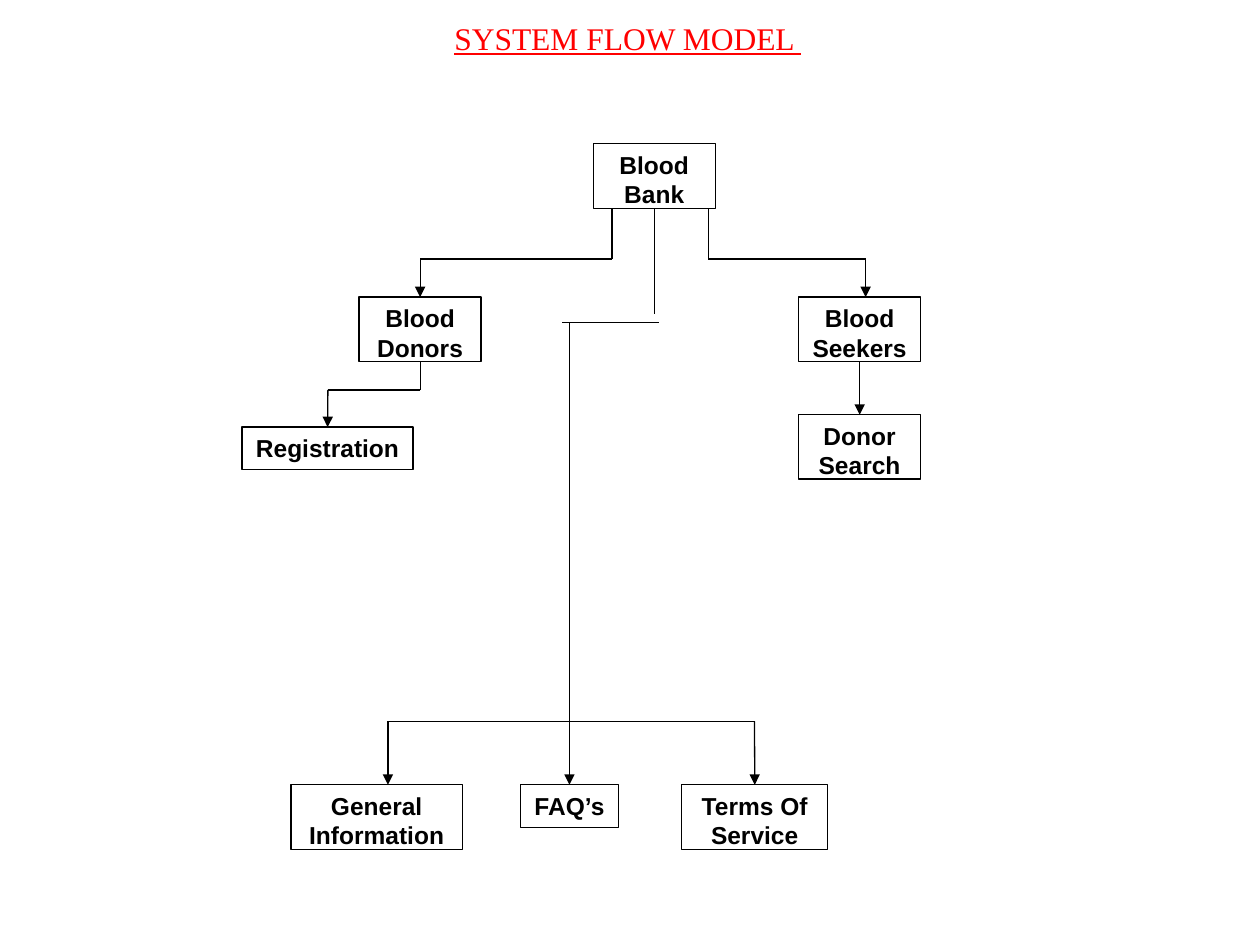
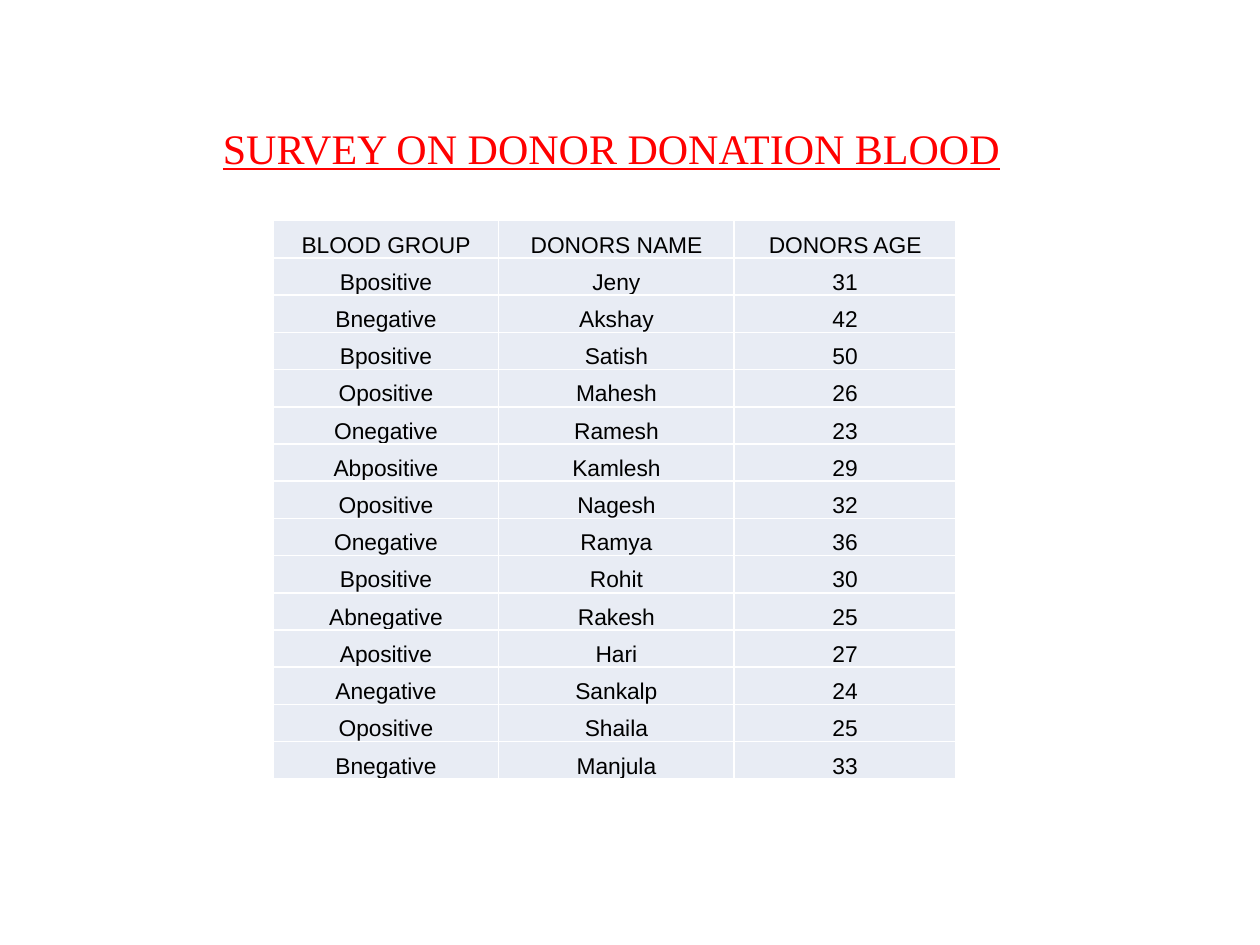
from pptx import Presentation
from pptx.dml.color import RGBColor
from pptx.enum.shapes import MSO_CONNECTOR, MSO_SHAPE
from pptx.enum.text import MSO_ANCHOR, MSO_AUTO_SIZE, PP_ALIGN
from pptx.oxml.ns import qn
from pptx.util import Cm, Pt
from lxml.etree import SubElement

COLORS = {"title": "FF0000", "ink": "000000", "paper": "FFFFFF", "cell": "E8ECF4"}
TITLE_FONT, BODY_FONT = "Times New Roman", "Arial"
TOP, BOTTOM = 0, 2


def rgb(name):
    return RGBColor.from_string(COLORS[name])


class Deck:
    def __init__(self):
        self.prs = Presentation()
        self.prs.slide_width, self.prs.slide_height = Cm(25.4), Cm(19.05)
        self.s = None

    def style(self, p, font, size, color, align=PP_ALIGN.CENTER, bold=False, underline=False):
        p.alignment = align
        p.font.name, p.font.size = font, Pt(size)
        p.font.bold, p.font.underline = bold, underline
        p.font.color.rgb = rgb(color)

    def slide(self, title, box, size, align, anchor):
        self.s = self.prs.slides.add_slide(self.prs.slide_layouts[5])
        sp = self.s.shapes.title
        sp.left, sp.top, sp.width, sp.height = map(Cm, box)
        tf = sp.text_frame
        tf.text, tf.vertical_anchor = title, anchor
        tf.word_wrap, tf.auto_size = True, MSO_AUTO_SIZE.NONE
        self.style(tf.paragraphs[0], TITLE_FONT, size, "title", align, underline=True)

    def box(self, text, left, top, width=2.46, height=1.3):
        sp = self.s.shapes.add_shape(MSO_SHAPE.RECTANGLE, Cm(left), Cm(top), Cm(width), Cm(height))
        sp.shadow.inherit = False
        sp.fill.solid()
        sp.fill.fore_color.rgb = rgb("paper")
        sp.line.color.rgb, sp.line.width = rgb("ink"), Pt(0.75)
        tf = sp.text_frame
        tf.text, tf.vertical_anchor = text, MSO_ANCHOR.TOP
        for p in tf.paragraphs:
            self.style(p, BODY_FONT, 14, "ink", bold=True)
        return sp

    def line(self, start, end, arrow=False, source=None, target=None):
        c = self.s.shapes.add_connector(MSO_CONNECTOR.STRAIGHT, *map(Cm, (*start, *end)))
        c.line.color.rgb, c.line.width = rgb("ink"), Pt(0.75)
        if source:
            c.begin_connect(source, BOTTOM)
        if target:
            c.end_connect(target, TOP)
        if arrow:
            SubElement(c.line._get_or_add_ln(), qn("a:tailEnd"), type="triangle")
        SubElement(c._element.spPr, qn("a:effectLst"))

    def route(self, points, source=None, target=None):
        last = len(points) - 2
        for i, (start, end) in enumerate(zip(points, points[1:])):
            self.line(start, end, i == last, source if i == 0 else None,
                      target if i == last else None)

    def table(self, rows, left, top, widths, row_height):
        shape = self.s.shapes.add_table(len(rows), len(widths), Cm(left), Cm(top),
                                        Cm(sum(widths)), Cm(row_height * len(rows)))
        table = shape.table
        table.first_row = table.horz_banding = False
        for column, width in zip(table.columns, widths):
            column.width = Cm(width)
        for row, values in zip(table.rows, rows):
            row.height = Cm(row_height)
            for cell, value in zip(row.cells, values):
                cell.fill.solid()
                cell.fill.fore_color.rgb = rgb("cell")
                cell.margin_left = cell.margin_right = cell.margin_top = Cm(0.03)
                cell.margin_bottom = 0
                cell.vertical_anchor = MSO_ANCHOR.BOTTOM
                cell.text = str(value)
                self.style(cell.text_frame.paragraphs[0], BODY_FONT, 13, "ink")


def flow_slide(deck):
    deck.slide("SYSTEM FLOW MODEL ", (8.76, 0.25, 7.8, 1.02), 18,
               PP_ALIGN.CENTER, MSO_ANCHOR.MIDDLE)
    bank = deck.box("Blood\nBank", 11.96, 2.9)
    donors = deck.box("Blood\nDonors", 7.24, 5.99)
    seekers = deck.box("Blood\nSeekers", 16.1, 5.99)
    registration = deck.box("Registration", 4.88, 8.61, 3.45, 0.86)
    search = deck.box("Donor\nSearch", 16.1, 8.36)
    deck.box("General\nInformation", 5.87, 15.82, 3.45)
    faq = deck.box("FAQ’s", 10.49, 15.82, 1.98, 0.86)
    terms = deck.box("Terms Of\nService", 13.74, 15.82, 2.95)

    deck.route([(12.34, 4.2), (12.34, 5.22), (8.47, 5.22), (8.47, 5.99)], target=donors)
    deck.route([(14.28, 4.2), (14.28, 5.22), (17.45, 5.22), (17.45, 5.99)])
    deck.route([(8.47, 7.29), (8.47, 7.86), (6.61, 7.86), (6.61, 8.61)], donors, registration)
    deck.route([(17.33, 7.29), (17.33, 8.36)], seekers, search)

    deck.line((13.19, 4.2), (13.19, 6.32), source=bank)
    deck.line((13.28, 6.5), (11.33, 6.5))
    trunk, bus = 11.48, 14.54
    deck.line((trunk, 6.5), (trunk, bus))
    for x, target in ((7.82, None), (trunk, faq), (15.21, terms)):
        if x != trunk:
            deck.line((trunk, bus), (x, bus))
        deck.line((x, bus), (x, 15.82), arrow=True, target=target)


def survey_slide(deck):
    deck.slide("SURVEY ON DONOR DONATION BLOOD", (4.24, 2.34, 17.88, 2.06), 24,
               PP_ALIGN.LEFT, MSO_ANCHOR.TOP)
    rows = [
        ("BLOOD GROUP", "DONORS NAME", "DONORS AGE"),
        ("Bpositive", "Jeny", 31),
        ("Bnegative", "Akshay", 42),
        ("Bpositive", "Satish", 50),
        ("Opositive", "Mahesh", 26),
        ("Onegative", "Ramesh", 23),
        ("Abpositive", "Kamlesh", 29),
        ("Opositive", "Nagesh", 32),
        ("Onegative", "Ramya", 36),
        ("Bpositive", "Rohit", 30),
        ("Abnegative", "Rakesh", 25),
        ("Apositive", "Hari", 27),
        ("Anegative", "Sankalp", 24),
        ("Opositive", "Shaila", 25),
        ("Bnegative", "Manjula", 33),
    ]
    deck.table(rows, 5.51, 4.45, (4.54, 4.75, 4.47), 0.75)


def main():
    deck = Deck()
    flow_slide(deck)
    survey_slide(deck)
    deck.prs.save("out.pptx")


if __name__ == "__main__":
    main()
